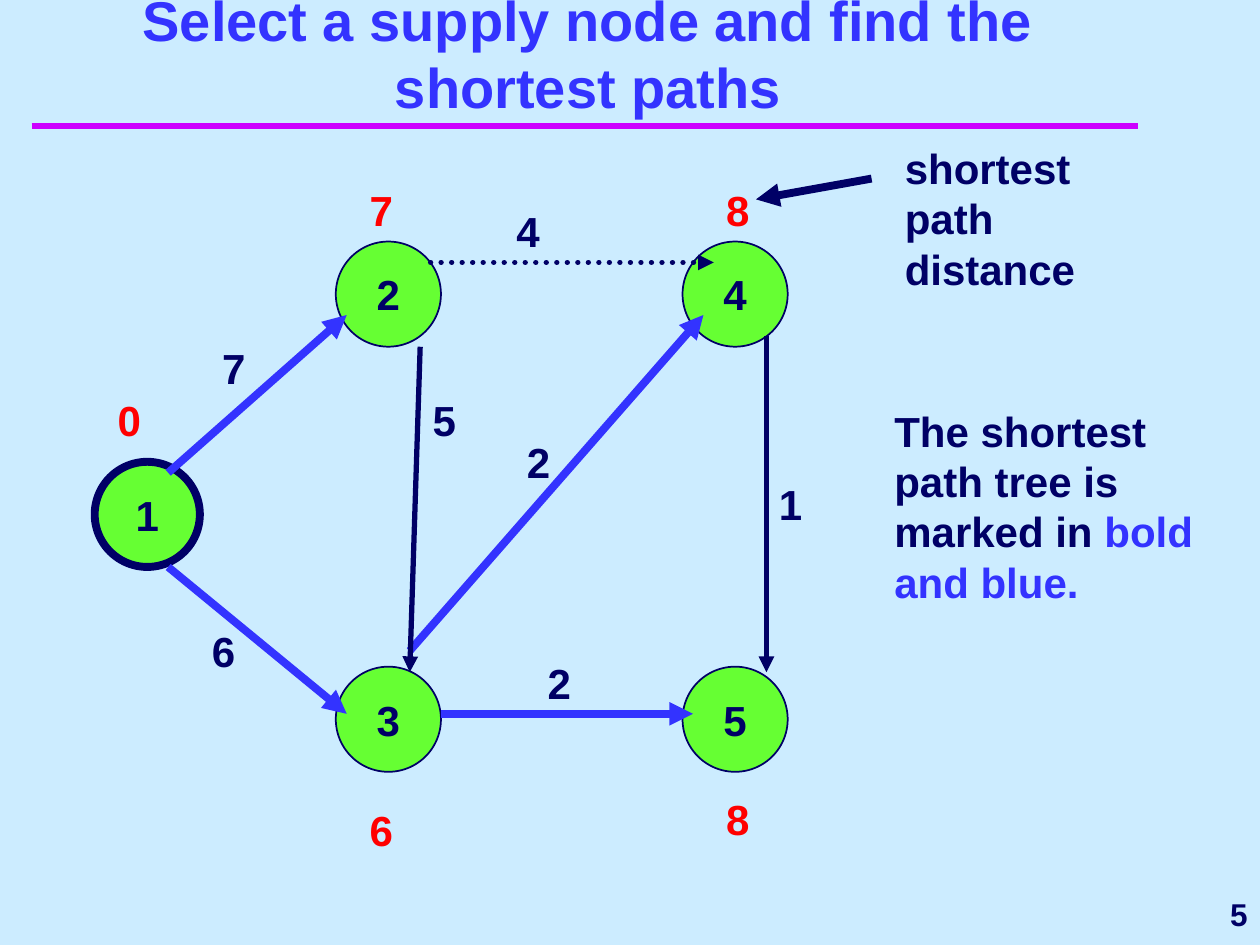
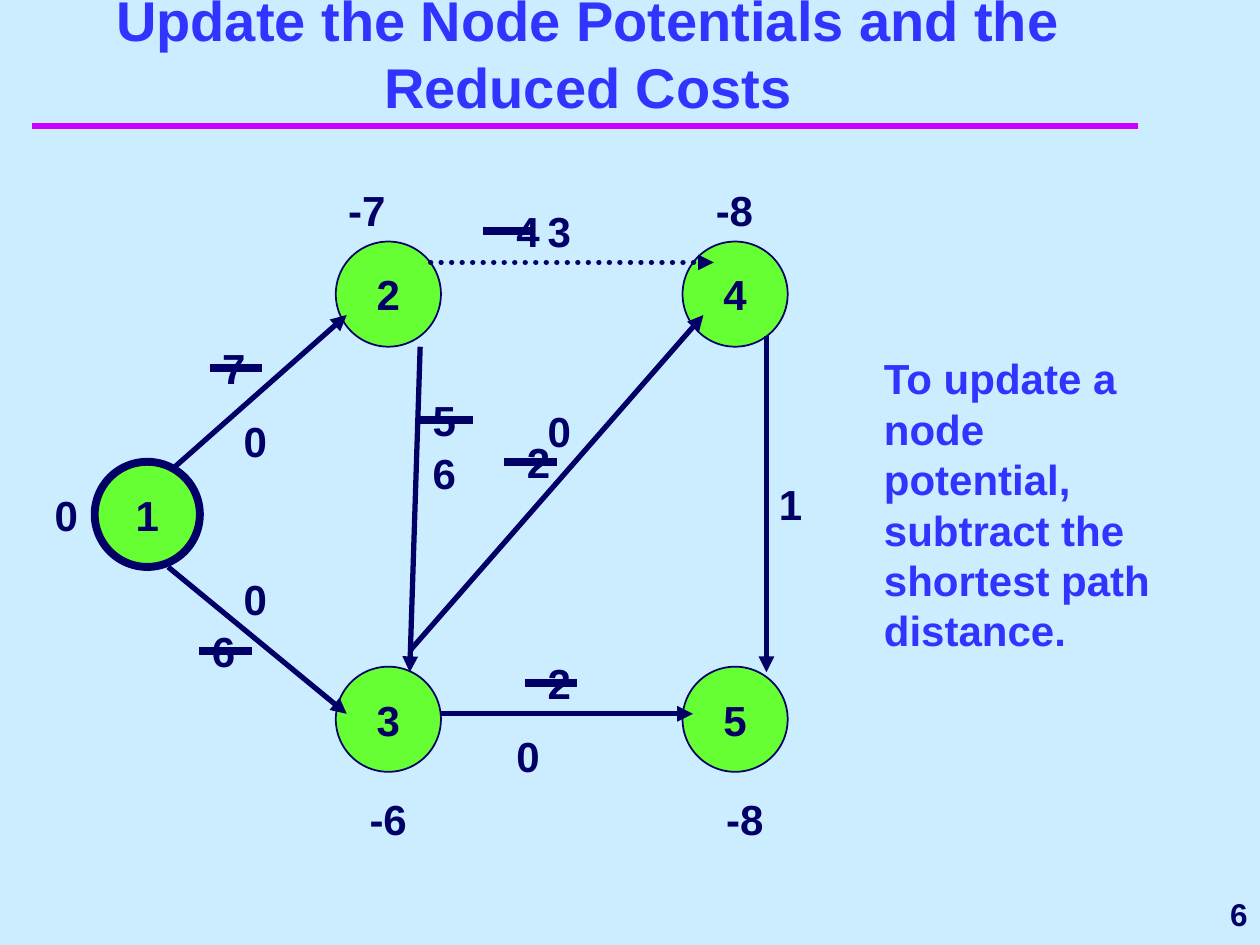
from dataclasses import dataclass

from lxml.etree import SubElement
from pptx import Presentation
from pptx.dml.color import RGBColor
from pptx.enum.dml import MSO_LINE
from pptx.enum.shapes import MSO_CONNECTOR, MSO_SHAPE
from pptx.enum.text import MSO_ANCHOR as Anchor, MSO_AUTO_SIZE as AutoSize, PP_ALIGN as Align
from pptx.oxml.ns import qn
from pptx.util import Cm, Pt

COLORS = {
    "background": "CCECFF",
    "rule": "CC00FF",
    "blue": "3333FF",
    "navy": "000066",
    "node": "66FF33",
    "red": "FF0000",
}
FONT = "Arial"
GRID = 2.54 / 12  # every position is counted in twelfths of an inch
NODE_SIZE = 10
LABEL_HEIGHT = 6
STRIKE_LENGTH = 5
THIN, NORMAL, BOLD = 1, 3, 4.5
SOURCE = "1"

NODES = {"1": (5, 27), "2": (28, 6), "3": (28, 46.5), "5": (61, 46.5), "4": (61, 6)}

# arc: (start, end)
ARCS = {
    "1-2": ((12, 28), (29, 13)),
    "2-4": ((37, 8), (64, 8)),
    "4-5": ((69, 15), (69, 47)),
    "3-4": ((35, 45), (63, 13)),
    "1-3": ((12, 37), (29, 51)),
    "3-5": ((38, 51), (62, 51)),
    "2-3": ((36, 16), (35, 47)),
}
DOTTED_ARC = "2-4"
TREE_ARCS = {"1-2", "3-4", "1-3", "3-5"}

# arc or node: (text, x, y, width)
COSTS = {
    "2-4": ("4", 44, 2, 5),
    "4-5": ("1", 69, 28, 5),
    "3-4": ("2", 45, 24, 7),
    "3-5": ("2", 47, 45, 7),
    "2-3": ("5", 36, 20, 8),
    "1-3": ("6", 15, 42, 14),
    "1-2": ("7", 16, 15, 14),
}
DISTANCES = {
    "2": ("7", 30, 0, 5),
    "1": ("0", 6, 20, 5),
    "3": ("6", 30, 59, 5),
    "5": ("8", 64, 58, 5),
    "4": ("8", 64, 0, 5),
}
POTENTIALS = {
    "1": ("0", 0, 29, 8),
    "2": ("-7", 28, 0, 8),
    "4": ("-8", 63, 0, 8),
    "5": ("-8", 64, 58, 8),
    "3": ("-6", 30, 58, 8),
}
REDUCED_COSTS = {
    "1-2": ("0", 18, 22, 14),
    "1-3": ("0", 18, 37, 14),
    "3-5": ("0", 44, 52, 14),
    "3-4": ("0", 47, 21, 14),
    "2-3": ("6", 36, 25, 14),
    "2-4": ("3", 47, 2, 14),
}
# how far a strike starts left of the cost it crosses out
STRIKE_SHIFTS = {"1-3": 0, "1-2": 0, "2-3": 0, "2-4": 2, "3-4": 1, "3-5": 1}


@dataclass
class Box:
    """A region counted in grid units."""
    left: float
    top: float
    width: float
    height: float

    def inner(self, x, y, width, height):
        return Box(self.left + x, self.top + y, width, height)

    def point(self, x, y):
        return grid(self.left + x), grid(self.top + y)

    def frame(self):
        return [grid(n) for n in (self.left, self.top, self.width, self.height)]


TITLE_BOX = Box(5, 7, 102, 5)
RULE_BOX = Box(3, 12, 105.4, 0)
NUMBER_BOX = Box(97, 84, 23, 6)
NETWORK_BOX = Box(4, 17, 73, 65)


def grid(units):
    return Cm(round(units * GRID, 2))


def rgb(name):
    return RGBColor.from_string(COLORS[name])


def write(shape, runs, size=24, align=Align.LEFT, anchor=Anchor.TOP, wrap=True):
    """Fill a shape with one bold paragraph of (text, colour) runs."""
    frame = shape.text_frame
    frame.word_wrap = wrap
    frame.vertical_anchor = anchor
    paragraph = frame.paragraphs[0]
    paragraph.alignment = align
    for text, color in runs:
        run = paragraph.add_run()
        run.text = text
        run.font.name = FONT
        run.font.size = Pt(size)
        run.font.bold = True
        run.font.color.rgb = rgb(color)


def add_note(slide, box, *runs):
    note = slide.shapes.add_textbox(*box.frame())
    write(note, runs)
    note.text_frame.auto_size = AutoSize.SHAPE_TO_FIT_TEXT


def add_line(slide, box, start, end, color="navy", width=BOLD, arrow=False, dotted=False):
    line = slide.shapes.add_connector(
        MSO_CONNECTOR.STRAIGHT, *box.point(*start), *box.point(*end))
    line.line.color.rgb = rgb(color)
    line.line.width = Pt(width)
    outline = line.line._get_or_add_ln()
    if dotted:
        line.line.dash_style = MSO_LINE.ROUND_DOT
        outline.set("cap", "rnd")
    if arrow:
        SubElement(outline, qn("a:tailEnd"), type="triangle")
    SubElement(line._element.spPr, qn("a:effectLst"))


def add_node(slide, box, name):
    x, y = NODES[name]
    node = slide.shapes.add_shape(
        MSO_SHAPE.OVAL, *box.inner(x, y, NODE_SIZE, NODE_SIZE).frame())
    node.shadow.inherit = False
    node.fill.solid()
    node.fill.fore_color.rgb = rgb("node")
    node.line.color.rgb = rgb("navy")
    node.line.width = Pt(BOLD if name == SOURCE else THIN)
    write(node, [(name, "navy")], align=Align.CENTER, anchor=Anchor.MIDDLE, wrap=False)


def add_nodes(slide, box, names):
    for name in names:
        add_node(slide, box, name)


def add_arcs(slide, box, tree=()):
    """Draw all arcs; those in the tree are bold and blue."""
    for name, (start, end) in ARCS.items():
        color, width = ("blue", BOLD) if name in tree else ("navy", NORMAL)
        add_line(slide, box, start, end, color, width, True, name == DOTTED_ARC)


def add_labels(slide, box, labels, color="navy"):
    for text, x, y, width in labels.values():
        add_note(slide, box.inner(x, y, width, LABEL_HEIGHT), (text, color))


def add_strikes(slide, box):
    for name, shift in STRIKE_SHIFTS.items():
        _, x, y, _ = COSTS[name]
        start = x - shift, y + LABEL_HEIGHT / 2
        add_line(slide, box, start, (start[0] + STRIKE_LENGTH, start[1]))


def add_titled_slide(prs, title, number):
    slide = prs.slides.add_slide(prs.slide_layouts[5])
    add_line(slide, RULE_BOX, (0, 0), (RULE_BOX.width, 0), "rule", 4)
    heading = slide.shapes.title
    heading.left, heading.top, heading.width, heading.height = TITLE_BOX.frame()
    write(heading, [(title, "blue")], 32, Align.CENTER, Anchor.BOTTOM)
    heading.text_frame.auto_size = AutoSize.NONE
    page = slide.shapes.add_textbox(*NUMBER_BOX.frame())
    write(page, [(str(number), "navy")], 18, Align.RIGHT, Anchor.MIDDLE)
    return slide


def build_shortest_paths(prs):
    slide = add_titled_slide(prs, "Select a supply node and find the shortest paths", 5)
    add_nodes(slide, NETWORK_BOX, NODES)
    add_arcs(slide, NETWORK_BOX, TREE_ARCS)
    add_labels(slide, NETWORK_BOX, COSTS)
    add_labels(slide, NETWORK_BOX, DISTANCES, "red")
    distance_box = Box(85, 13, 26, 15.6)
    add_note(slide, distance_box, ("shortest path distance", "navy"))
    add_line(slide, distance_box, (-2, 4), (-13, 6), arrow=True)
    add_note(slide, Box(84, 38, 32, 20.4),
             ("The shortest path tree is marked in ", "navy"), ("bold and blue.", "blue"))


def build_reduced_costs(prs):
    slide = add_titled_slide(prs, "Update the Node Potentials and the Reduced Costs", 6)
    add_nodes(slide, NETWORK_BOX, [name for name in NODES if name != SOURCE])
    add_arcs(slide, NETWORK_BOX)
    add_labels(slide, NETWORK_BOX, COSTS)
    add_labels(slide, NETWORK_BOX, POTENTIALS)
    add_strikes(slide, NETWORK_BOX)
    add_labels(slide, NETWORK_BOX, REDUCED_COSTS)
    add_node(slide, NETWORK_BOX, SOURCE)
    add_note(slide, Box(83, 33, 29, 30),
             ("To update a node potential, subtract the shortest path distance.", "blue"))


def main():
    prs = Presentation()
    prs.slide_width, prs.slide_height = Cm(25.4), Cm(19.05)
    background = prs.slide_master.background.fill
    background.solid()
    background.fore_color.rgb = rgb("background")
    build_shortest_paths(prs)
    build_reduced_costs(prs)
    prs.save("out.pptx")


if __name__ == "__main__":
    main()
